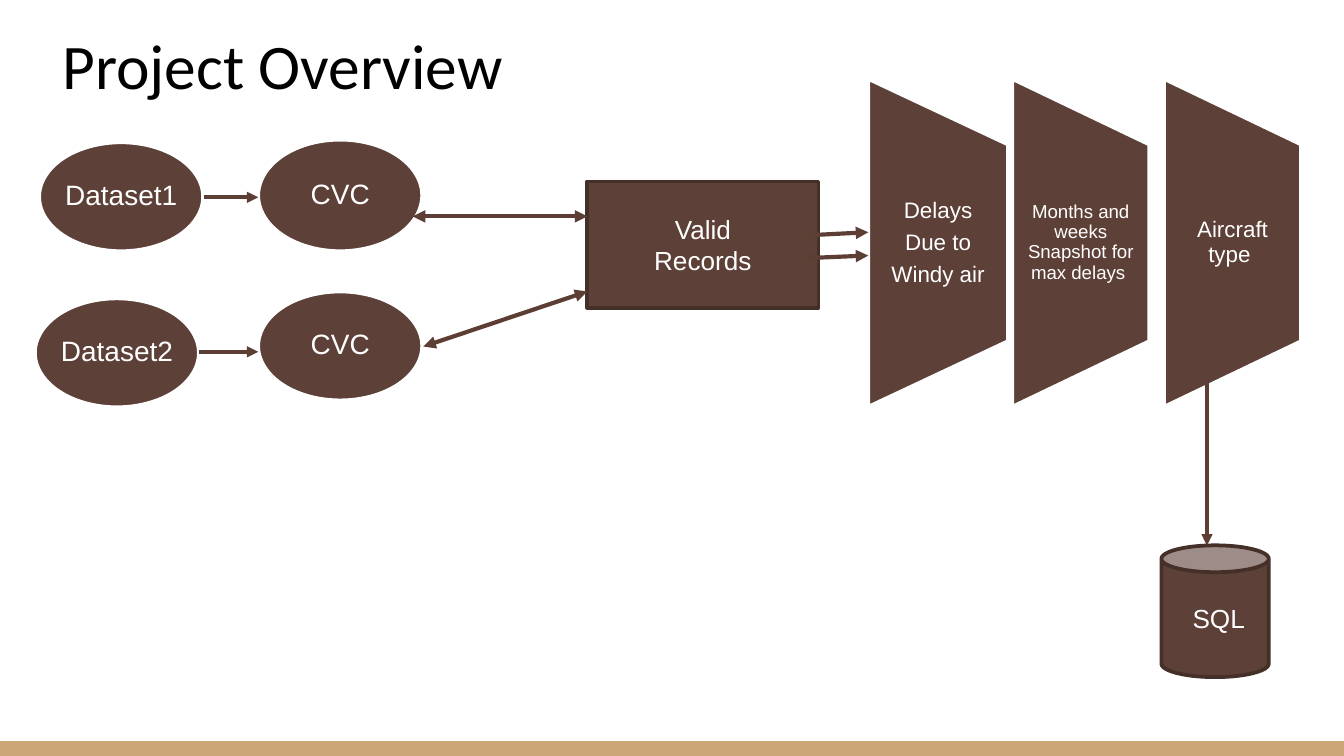
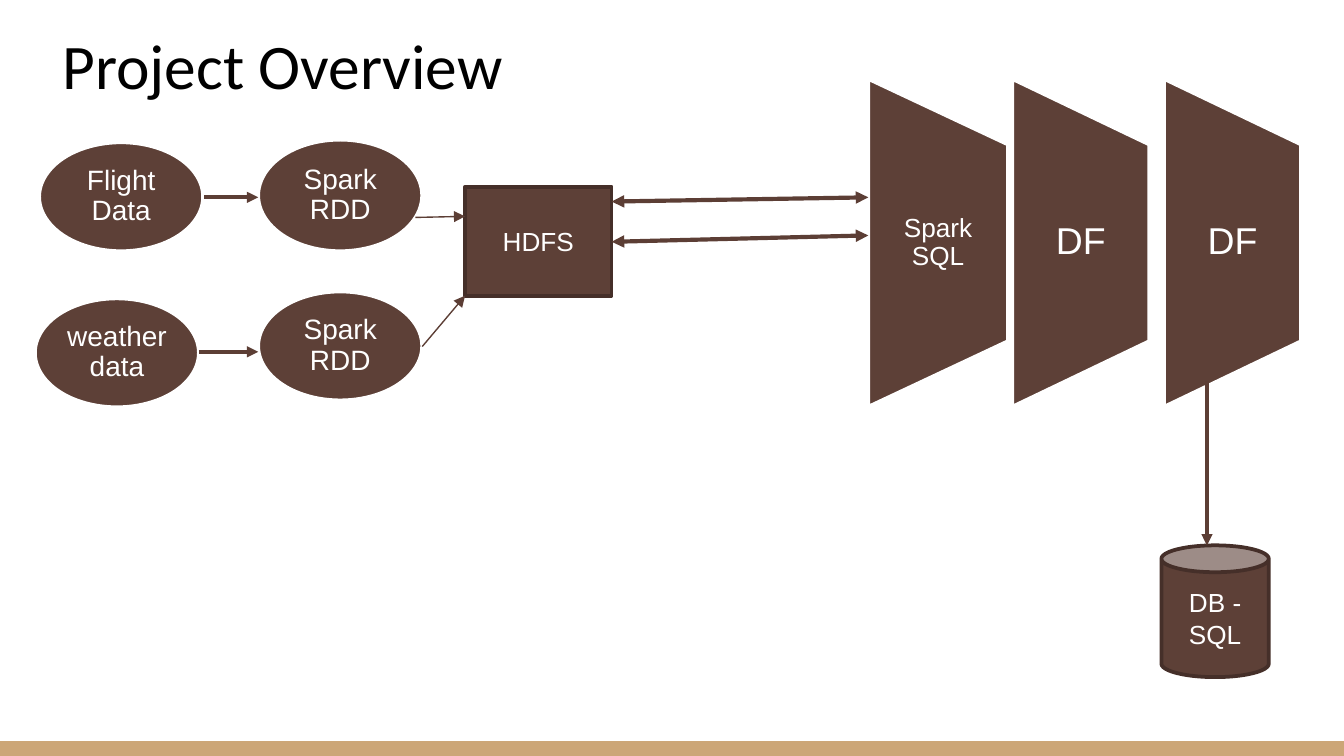
from lxml.etree import SubElement
from pptx import Presentation
from pptx.dml.color import RGBColor
from pptx.enum.shapes import MSO_CONNECTOR, MSO_SHAPE as SHAPE
from pptx.enum.text import MSO_ANCHOR, MSO_AUTO_SIZE, PP_ALIGN
from pptx.oxml.ns import qn
from pptx.util import Cm, Pt

# Shared look
BROWN, EDGE, ARROW = "5D4037", "452F29", "5C3E35"
WHITE, BLACK, TAN = "FFFFFF", "000000", "CCA677"
SLIDE_W, SLIDE_H = 25.4, 14.29
BAND_H = 0.28

# Shared places in cm: left, top, width, height
OVALS = [(0.74, 2.69, 3.1, 2.06), (4.88, 2.64, 3.1, 2.11),
         (0.66, 5.64, 3.1, 2.06), (4.88, 5.51, 3.1, 2.06)]
STAGES = [(16.41, 2.64), (19.13, 2.59), (22.0, 2.59)]  # left, width
STAGE_TOP, STAGE_H = 1.49, 6.2
STORE = (21.95, 10.31, 2.03, 2.49)

# Arrows: start, end, width in points, headed at both ends
SHARED_ARROWS = [((3.86, 3.73), (4.88, 3.73), 2, False),
                 ((3.76, 6.65), (4.88, 6.65), 2, False),
                 ((22.81, 7.21), (22.81, 10.31), 2, False)]

SLIDES = [
    {
        "ovals": ["Dataset1", "CVC", "Dataset2", "CVC"],
        "stages": [(["Delays", "Due to", "Windy air"], 12),
                   (["Months and weeks Snapshot for max delays "], 10),
                   (["Aircraft type "], 12)],
        "hub": (["Valid", "Records"], (11.1, 3.43, 4.37, 2.39)),
        "store": " SQL",
        "arrows": [((7.8, 4.09), (11.1, 4.09), 2.25, True),
                   ((8.0, 6.55), (11.1, 5.51), 2.25, True),
                   ((15.21, 4.45), (16.41, 4.39), 2.25, True),
                   ((15.21, 4.88), (16.41, 4.83), 2.25, True)],
    },
    {
        "ovals": ["Flight Data", "Spark RDD", "weather data", "Spark RDD"],
        "stages": [(["Spark SQL"], 14), (["DF"], 20), (["DF"], 20)],
        "hub": (["HDFS"], (8.79, 3.53, 2.77, 2.06)),
        "store": "DB - SQL",
        "arrows": [((11.56, 3.81), (16.41, 3.73), 2.25, True),
                   ((11.56, 4.57), (16.41, 4.45), 2.25, True),
                   ((7.85, 4.11), (8.79, 4.09), 0.75, False),
                   ((7.98, 6.55), (8.79, 5.59), 0.75, False)],
    },
]


def rgb(hex_code):
    return RGBColor.from_string(hex_code)


def apply(target, values):
    for name, value in values.items():
        setattr(target, name, value)


def write(tf, lines, size, font="Arial", color=WHITE, **para_format):
    for i, line in enumerate(lines):
        p = tf.paragraphs[0] if i == 0 else tf.add_paragraph()
        apply(p, {"alignment": PP_ALIGN.CENTER, **para_format})
        r = p.add_run()
        r.text = line
        apply(r.font, {"size": Pt(size), "name": font})
        r.font.color.rgb = rgb(color)


def add_block(s, kind, box, fill=BROWN, edge=None, lines=(), size=14):
    sp = s.shapes.add_shape(kind, *map(Cm, box))
    sp.shadow.inherit = False
    sp.fill.solid()
    sp.fill.fore_color.rgb = rgb(fill)
    if edge:
        sp.line.color.rgb = rgb(edge)
        sp.line.width = Pt(2)
    else:
        sp.line.fill.background()
    sp.text_frame.vertical_anchor = MSO_ANCHOR.MIDDLE
    write(sp.text_frame, lines, size)
    return sp


def add_label(s, box, lines, size, side, ends=0):
    tf = s.shapes.add_textbox(*map(Cm, box)).text_frame
    apply(tf, {"word_wrap": True, "vertical_anchor": MSO_ANCHOR.MIDDLE,
               "margin_left": Cm(side), "margin_right": Cm(side),
               "margin_top": Cm(ends), "margin_bottom": Cm(ends)})
    write(tf, lines, size, line_spacing=0.9, space_after=Pt(0.35 * size))


def add_oval(s, box, text):
    add_block(s, SHAPE.OVAL, box, edge=WHITE)
    # The label fills the rectangle inscribed in the oval
    x, y, w, h = box
    dx, dy = 0.146 * w, 0.146 * h
    add_label(s, (x + dx, y + dy, w - 2 * dx, h - 2 * dy), [text], 15, 0.03, 0.03)


def add_stage(s, x, w, lines, size):
    # The shape lies on its side, so width and height swap around its centre
    left = x + (w - STAGE_H) / 2
    top = STAGE_TOP + (STAGE_H - w) / 2
    sp = add_block(s, SHAPE.FLOWCHART_MANUAL_OPERATION,
                   (left, top, STAGE_H, w), edge=WHITE)
    sp.rotation = 270
    add_label(s, (x, STAGE_TOP + 0.2 * STAGE_H, w, 0.6 * STAGE_H),
              lines, size, 0.018 * size)


def add_arrow(s, start, end, width, both):
    c = s.shapes.add_connector(MSO_CONNECTOR.STRAIGHT, *map(Cm, start + end))
    c.line.color.rgb = rgb(ARROW)
    c.line.width = Pt(width)
    ln = c.line._get_or_add_ln()
    for tag in ["a:headEnd", "a:tailEnd"] if both else ["a:tailEnd"]:
        SubElement(ln, qn(tag), type="triangle")
    SubElement(c._element.spPr, qn("a:effectLst"))


def add_title(s, text):
    tf = s.shapes.add_textbox(Cm(0.66), Cm(0.36), Cm(24.74), Cm(1.7)).text_frame
    apply(tf, {"word_wrap": True, "auto_size": MSO_AUTO_SIZE.SHAPE_TO_FIT_TEXT})
    write(tf, [text], 34, "Calibri", BLACK, alignment=PP_ALIGN.LEFT)


def add_overview(prs, content):
    s = prs.slides.add_slide(prs.slide_layouts[6])
    # Band and title
    add_block(s, SHAPE.RECTANGLE, (0, SLIDE_H - BAND_H, SLIDE_W, BAND_H), TAN)
    add_title(s, " Project Overview")
    # Sources, processing stages, hub and store
    for box, text in zip(OVALS, content["ovals"]):
        add_oval(s, box, text)
    for (x, w), (lines, size) in zip(STAGES, content["stages"]):
        add_stage(s, x, w, lines, size)
    lines, box = content["hub"]
    add_block(s, SHAPE.RECTANGLE, box, edge=EDGE, lines=lines)
    add_block(s, SHAPE.CAN, STORE, edge=EDGE, lines=[content["store"]])
    # Flow
    for arrow in SHARED_ARROWS + content["arrows"]:
        add_arrow(s, *arrow)


def main():
    prs = Presentation()
    apply(prs, {"slide_width": Cm(SLIDE_W), "slide_height": Cm(SLIDE_H)})
    for content in SLIDES:
        add_overview(prs, content)
    prs.save("out.pptx")


if __name__ == "__main__":
    main()
